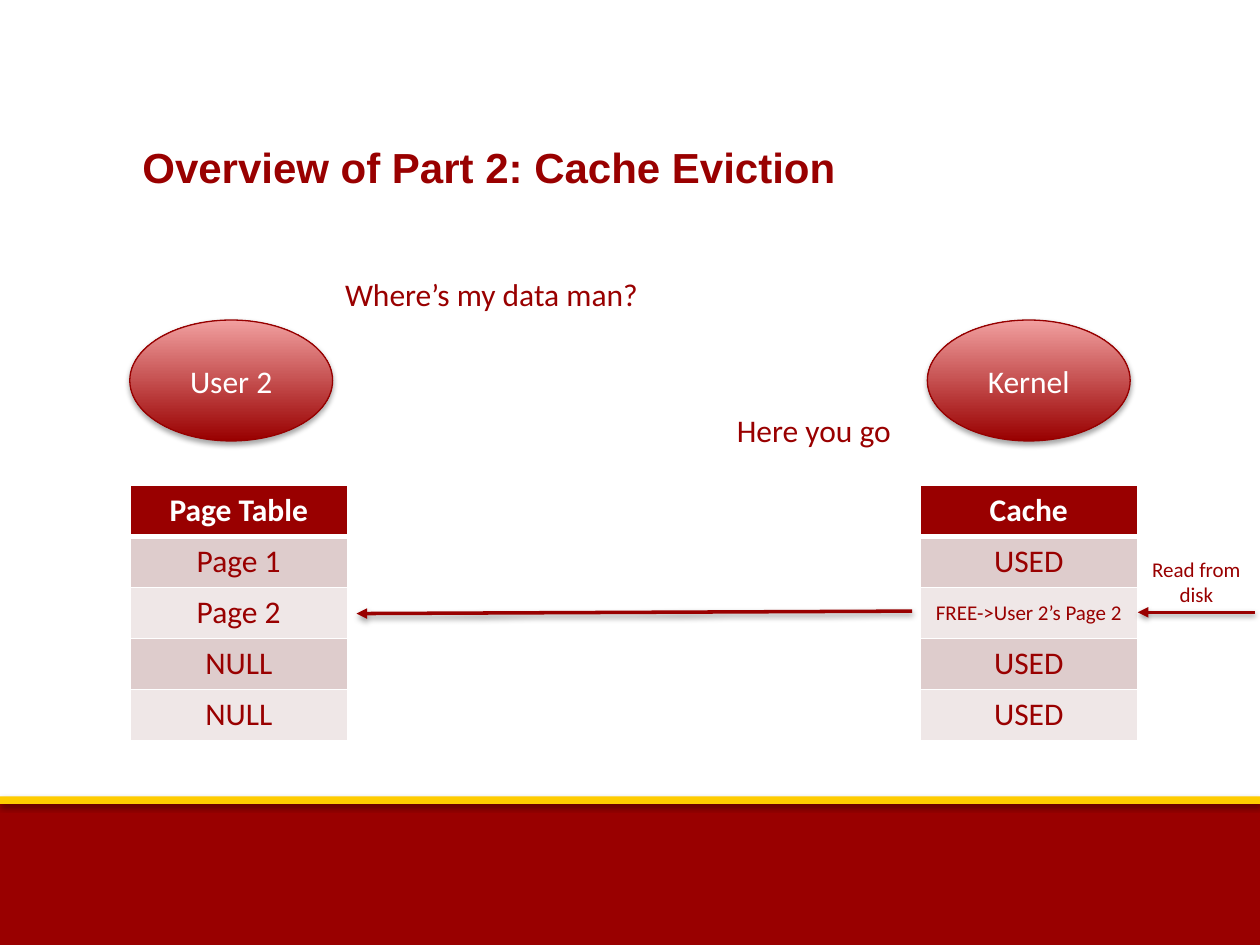
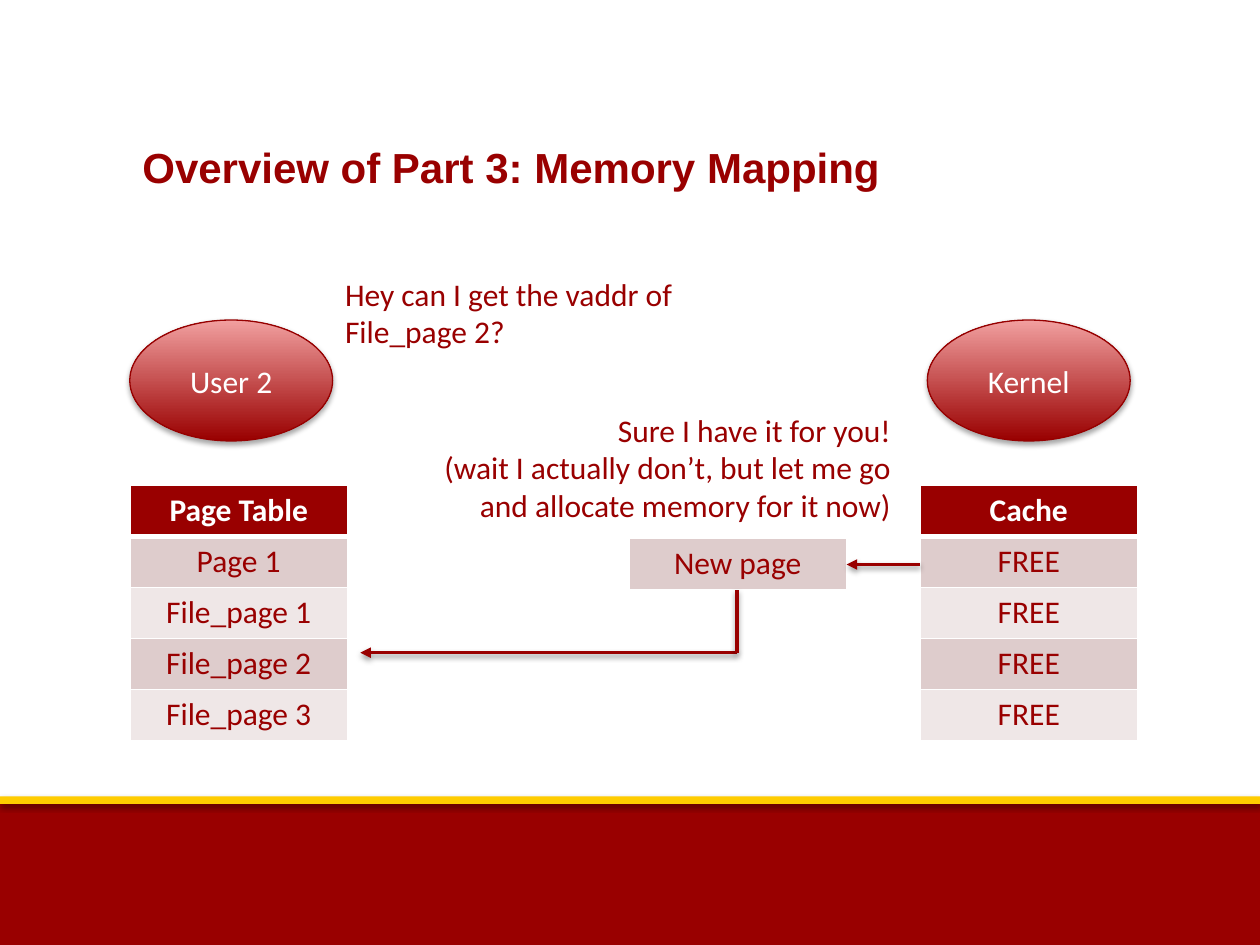
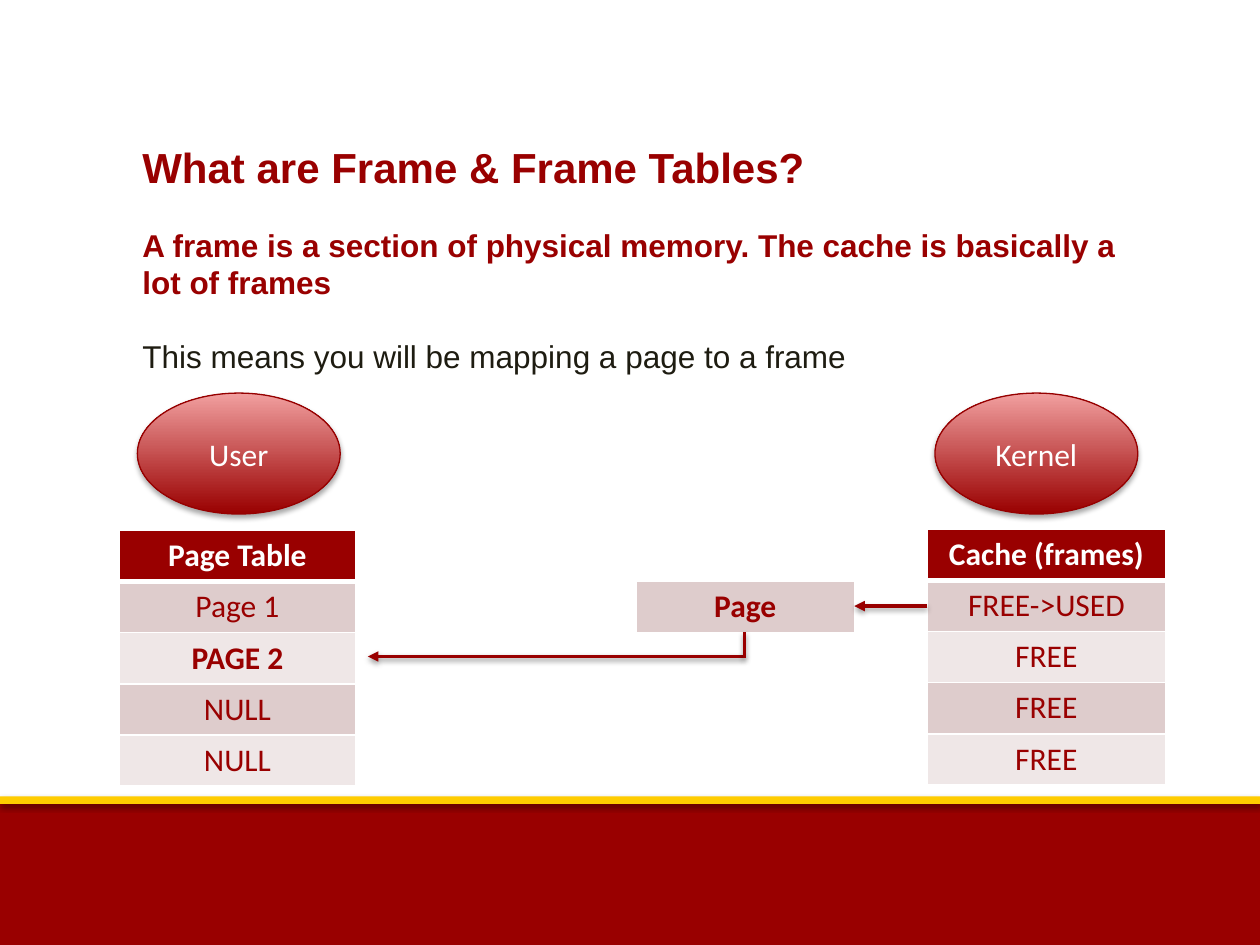
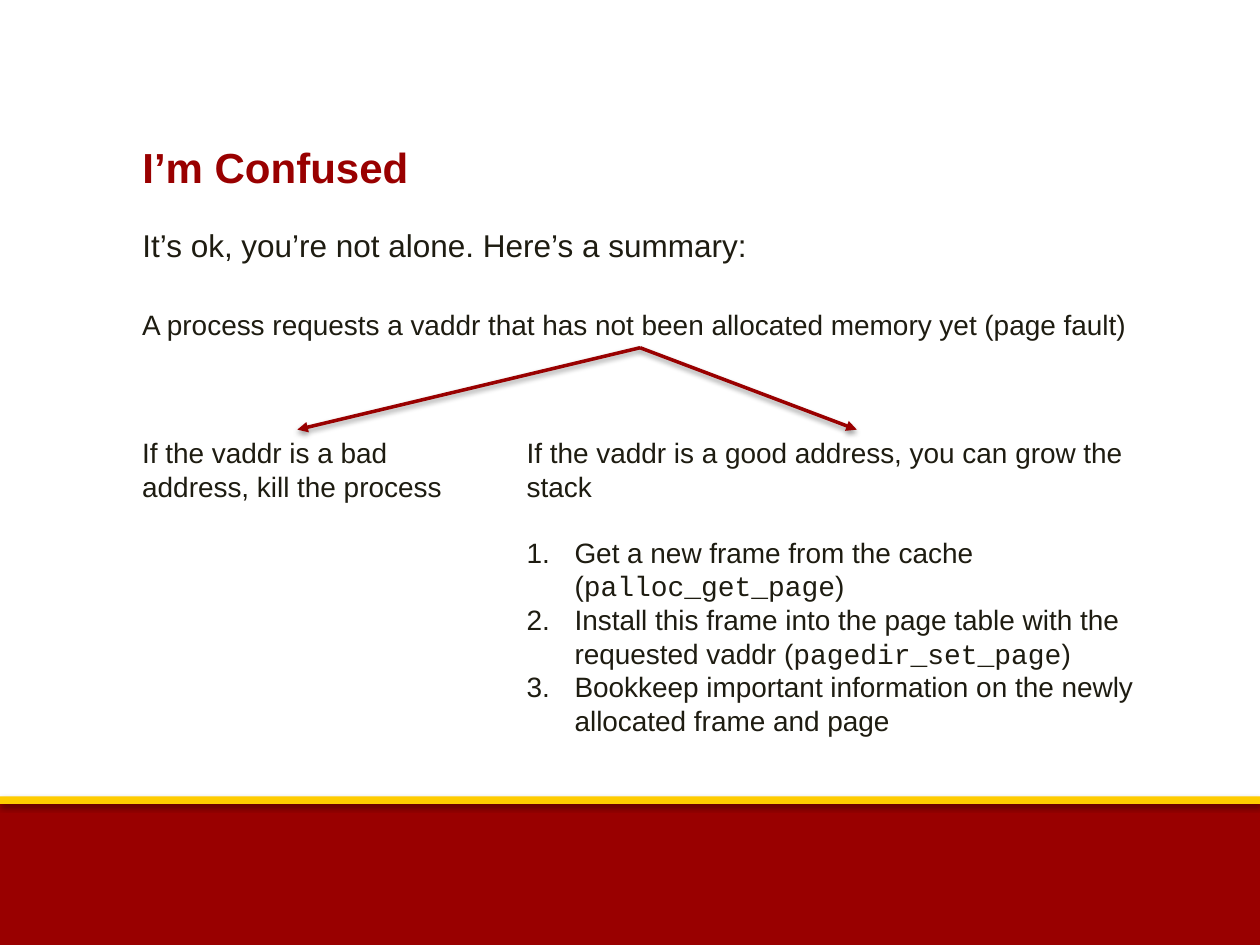
from dataclasses import dataclass
from typing import NamedTuple

from lxml import etree
from pptx import Presentation
from pptx import util as u
from pptx.dml.color import RGBColor
from pptx.enum import shapes, text
from pptx.oxml import ns

COLORS = {
    "cardinal": "990000",
    "outline": "960000",
    "pink": "F19F9F",
    "gold": "FFCC00",
    "ink": "1E1C11",
    "white": "FFFFFF",
    "band_dark": "DECCCC",
    "band_light": "EFE7E7",
    "shadow": "000000",
}
HEADING_FONT, DIAGRAM_FONT, CODE_FONT = "Arial", "Calibri", "Courier New"
TEXT_LEFT, TEXT_WIDTH = 1.03, 8.09
TITLE_TOP, BODY_TOP = 1.07, 1.74
OVAL_SIZE = (1.61, 0.96)
TITLE_AND_CONTENT, TWO_CONTENT, TITLE_ONLY = 1, 3, 5
LEFT, CENTER, RIGHT = text.PP_ALIGN.LEFT, text.PP_ALIGN.CENTER, text.PP_ALIGN.RIGHT


class Box(NamedTuple):
    left: float
    top: float
    width: float
    height: float


class Oval(NamedTuple):
    label: str
    left: float
    top: float


class Speech(NamedTuple):
    words: str
    box: Box
    align: text.PP_ALIGN = LEFT
    size: int = 18


class Arrow(NamedTuple):
    start: tuple[float, float]
    end: tuple[float, float]
    head: bool = True


class Memory(NamedTuple):
    """A one-column table of memory slots."""
    box: Box
    slots: list[str]
    header: bool = True
    small: str = ""
    strong: str = ""


@dataclass
class Diagram:
    title: str
    ovals: list[Oval]
    speeches: list[Speech]
    memories: list[Memory]
    arrows: list[Arrow]
    body: str = ""


def rgb(name: str) -> RGBColor:
    return RGBColor.from_string(COLORS[name])


def inches(values) -> list[u.Length]:
    return [u.Inches(value) for value in values]


def place(shape, box: Box) -> None:
    shape.left, shape.top, shape.width, shape.height = inches(box)


def sub(parent, tag: str, **attributes):
    return etree.SubElement(parent, ns.qn(tag), attributes)


def style_text(frame, size: float, color: str, font: str = HEADING_FONT,
               bold: bool = False, align: text.PP_ALIGN = LEFT) -> None:
    for paragraph in frame.paragraphs:
        paragraph.alignment = align
        for run in paragraph.runs:
            run.font.name, run.font.size, run.font.bold = font, u.Pt(size), bold
            run.font.color.rgb = rgb(color)


def cast_shadow(effects, opacity: int, distance: float) -> None:
    shadow = sub(effects, "a:outerShdw", blurRad="40000", dist=str(u.Pt(distance)),
                 dir="5400000", rotWithShape="0")
    color = sub(shadow, "a:srgbClr", val=COLORS["shadow"])
    sub(color, "a:alpha", val=str(opacity * 1000))


def shade_shape(shape, opacity: int = 35, distance: float = 1.8) -> None:
    shape.shadow.inherit = False
    cast_shadow(shape.element.spPr.find(ns.qn("a:effectLst")), opacity, distance)


def add_master_bands(prs, slide) -> None:
    """Draw the footer bands and move them behind everything on the master."""
    tree = prs.slide_master.shapes.element
    bands = [(Box(0, 6.35, 10, 1.15), "cardinal", 35, 1.8),
             (Box(0, 6.32, 10, 0.06), "gold", 38, 1.6)]
    for index, (box, color, opacity, distance) in enumerate(bands):
        band = slide.shapes.add_shape(shapes.MSO_SHAPE.RECTANGLE, *inches(box))
        band.fill.solid()
        band.fill.fore_color.rgb = rgb(color)
        band.line.fill.background()
        shade_shape(band, opacity, distance)
        band.element.nvSpPr.cNvPr.id = 100 + index
        tree.insert(2 + index, band.element)


def set_title(slide, words: str) -> None:
    title = slide.shapes.title
    place(title, Box(TEXT_LEFT, TITLE_TOP, TEXT_WIDTH, 0.5))
    frame = title.text_frame
    frame.text = words
    frame.vertical_anchor = text.MSO_ANCHOR.TOP
    frame.auto_size = text.MSO_AUTO_SIZE.NONE
    style_text(frame, 24, "cardinal", bold=True)


def set_body(placeholder, box: Box, lines: list[str], size: int,
             numbered: bool = False):
    """Fill a body placeholder; backticks mark code, numbers start at line two."""
    place(placeholder, box)
    frame = placeholder.text_frame
    frame.auto_size = text.MSO_AUTO_SIZE.NONE
    for index, line in enumerate(lines):
        paragraph = frame.paragraphs[0] if index == 0 else frame.add_paragraph()
        props = paragraph._p.get_or_add_pPr()
        indent = u.Inches(0.38) if numbered and index else 0
        props.set("marL", str(indent))
        props.set("indent", str(-indent))
        if indent:
            sub(props, "a:buAutoNum", type="arabicPeriod")
        else:
            sub(props, "a:buNone")
        paragraph.space_before = u.Pt(size * 1.15 if index == 1 else 0)
        for part in line.split("`"):
            paragraph.add_run().text = part
    style_text(frame, size, "ink")
    for paragraph in frame.paragraphs:
        for code in paragraph.runs[1::2]:
            code.font.name = CODE_FONT
    return frame


def add_text(slide, box: Box, words: str, size: int, color: str,
             font: str, align: text.PP_ALIGN = LEFT) -> None:
    frame = slide.shapes.add_textbox(*inches(box)).text_frame
    frame.word_wrap = True
    frame.text = words
    style_text(frame, size, color, font, align=align)


def add_oval(slide, oval: Oval) -> None:
    shape = slide.shapes.add_shape(
        shapes.MSO_SHAPE.OVAL, *inches((oval.left, oval.top, *OVAL_SIZE)))
    shape.fill.gradient()
    shape.fill.gradient_angle = 90
    for stop, position, color in zip(shape.fill.gradient_stops, (0, 1),
                                     ("cardinal", "pink")):
        stop.position = position
        stop.color.rgb = rgb(color)
    shape.line.color.rgb = rgb("outline")
    shape.line.width = u.Pt(0.75)
    shade_shape(shape)
    shape.text_frame.text = oval.label
    shape.text_frame.vertical_anchor = text.MSO_ANCHOR.MIDDLE
    style_text(shape.text_frame, 18, "white", DIAGRAM_FONT, align=CENTER)


def add_arrow(slide, arrow: Arrow) -> None:
    line = slide.shapes.add_connector(
        shapes.MSO_CONNECTOR.STRAIGHT, *inches(arrow.start + arrow.end))
    line.line.color.rgb = rgb("cardinal")
    line.line.width = u.Pt(2)
    props = line.element.spPr
    if arrow.head:
        sub(props.find(ns.qn("a:ln")), "a:tailEnd", type="triangle")
    cast_shadow(sub(props, "a:effectLst"), 38, 1.6)


def set_borders(cell, top: int, bottom: int) -> None:
    props = cell._tc.get_or_add_tcPr()
    for side, width in zip("LRTB", (1, 1, top, bottom)):
        line = sub(props, f"a:ln{side}", w=str(u.Pt(width)))
        sub(sub(line, "a:solidFill"), "a:srgbClr", val=COLORS["white"])


def add_memory(slide, memory: Memory) -> None:
    table = slide.shapes.add_table(len(memory.slots), 1, *inches(memory.box)).table
    table.first_row = memory.header
    for row, slot in enumerate(memory.slots):
        cell = table.cell(row, 0)
        is_header = memory.header and row == 0
        set_borders(cell, top=3 if memory.header and row == 1 else 1,
                    bottom=3 if is_header else 1)
        band = "band_light" if row and row % 2 == 0 else "band_dark"
        cell.fill.solid()
        cell.fill.fore_color.rgb = rgb("cardinal" if is_header else band)
        cell.text_frame.text = slot
        is_small = slot == memory.small
        if is_small:
            cell.vertical_anchor = text.MSO_ANCHOR.MIDDLE
        style_text(cell.text_frame, 12 if is_small else 18,
                   "white" if is_header else "cardinal", DIAGRAM_FONT,
                   is_header or slot == memory.strong, CENTER)


def new_slide(prs, layout: int, title: str):
    slide = prs.slides.add_slide(prs.slide_layouts[layout])
    set_title(slide, title)
    return slide


def add_diagram(prs, diagram: Diagram):
    layout = TITLE_AND_CONTENT if diagram.body else TITLE_ONLY
    slide = new_slide(prs, layout, diagram.title)
    if diagram.body:
        frame = set_body(slide.placeholders[1],
                         Box(TEXT_LEFT, BODY_TOP, TEXT_WIDTH, 1.35),
                         diagram.body.split("\n"), 18)
        definition = frame.paragraphs[0].runs[0].font
        definition.bold = True
        definition.color.rgb = rgb("cardinal")
    for oval in diagram.ovals:
        add_oval(slide, oval)
    for words, box, align, size in diagram.speeches:
        add_text(slide, box, words, size, "cardinal", DIAGRAM_FONT, align)
    for memory in diagram.memories:
        add_memory(slide, memory)
    for arrow in diagram.arrows:
        add_arrow(slide, arrow)
    return slide


def add_summary(prs) -> None:
    slide = new_slide(prs, TWO_CONTENT, "I’m Confused")
    set_body(slide.placeholders[1], Box(TEXT_LEFT, BODY_TOP, TEXT_WIDTH, 0.44),
             ["It’s ok, you’re not alone. Here’s a summary:"], 18)
    add_text(slide, Box(TEXT_LEFT, 2.39, TEXT_WIDTH, 0.37),
             "A process requests a vaddr that has not been allocated memory yet "
             "(page fault)", 16, "ink", HEADING_FONT)
    add_text(slide, Box(TEXT_LEFT, 3.41, 2.65, 0.64),
             "If the vaddr is a bad address, kill the process",
             16, "ink", HEADING_FONT)
    set_body(slide.placeholders[2], Box(4.08, 3.41, 5.44, 2.52), [
        "If the vaddr is a good address, you can grow the stack",
        "Get a new frame from the cache (`palloc_get_page`)",
        "Install this frame into the page table with the requested vaddr "
        "(`pagedir_set_page`)",
        "Bookkeep important information on the newly allocated frame and page",
    ], 16, numbered=True)
    for branch_x in (2.36, 6.8):
        add_arrow(slide, Arrow((5.08, 2.76), (branch_x, 3.41)))


USER_2_AND_KERNEL = [Oval("User 2", 1.03, 2.54), Oval("Kernel", 7.36, 2.54)]
PAGE_TABLE_BOX = Box(1.03, 3.85, 1.73, 2.03)
CACHE_BOX = Box(7.3, 3.85, 1.73, 2.03)

DIAGRAMS = [
    Diagram(
        "Overview of Part 2: Cache Eviction",
        USER_2_AND_KERNEL,
        [Speech("Read from disk", Box(8.95, 4.37, 1.09, 0.5), CENTER, 12),
         Speech("Where’s my data man?", Box(2.64, 2.13, 3.4, 0.4)),
         Speech("Here you go", Box(3.01, 3.21, 4.16, 0.4), RIGHT)],
        [Memory(PAGE_TABLE_BOX, ["Page Table", "Page 1", "Page 2", "NULL", "NULL"]),
         Memory(CACHE_BOX,
                ["Cache", "USED", "FREE->User 2’s Page 2", "USED", "USED"],
                small="FREE->User 2’s Page 2")],
        [Arrow((9.96, 4.86), (9.03, 4.86)), Arrow((7.24, 4.85), (2.83, 4.87))],
    ),
    Diagram(
        "Overview of Part 3: Memory Mapping",
        USER_2_AND_KERNEL,
        [Speech("Hey can I get the vaddr of File_page 2?",
                Box(2.64, 2.13, 3.4, 0.71)),
         Speech("Sure I have it for you!\n(wait I actually don’t, but let me go "
                "and allocate memory for it now)", Box(3.01, 3.21, 4.16, 1.01), RIGHT)],
        [Memory(PAGE_TABLE_BOX,
                ["Page Table", "Page 1", "File_page 1", "File_page 2", "File_page 3"]),
         Memory(CACHE_BOX, ["Cache"] + ["FREE"] * 4),
         Memory(Box(4.99, 4.27, 1.73, 0.41), ["New page"], header=False)],
        [Arrow((5.85, 5.18), (2.86, 5.18)),
         Arrow((5.85, 5.18), (5.85, 4.68), head=False),
         Arrow((7.3, 4.48), (6.72, 4.48))],
    ),
    Diagram(
        "What are Frame & Frame Tables?",
        [Oval("User", 1.09, 3.12), Oval("Kernel", 7.42, 3.12)],
        [],
        [Memory(Box(0.95, 4.21, 1.87, 2.03),
                ["Page Table", "Page 1", "PAGE 2", "NULL", "NULL"], strong="PAGE 2"),
         Memory(Box(5.05, 4.61, 1.73, 0.41), ["Page"], header=False, strong="Page"),
         Memory(Box(7.36, 4.2, 1.89, 2.03),
                ["Cache (frames)", "FREE->USED"] + ["FREE"] * 3)],
        [Arrow((5.91, 5.21), (2.92, 5.21)),
         Arrow((5.91, 5.22), (5.91, 5.02), head=False),
         Arrow((7.36, 4.81), (6.78, 4.81))],
        body="A frame is a section of physical memory. The cache is basically a lot "
             "of frames\nThis means you will be mapping a page to a frame",
    ),
]


def main() -> None:
    prs = Presentation()
    prs.slide_width, prs.slide_height = inches((10, 7.5))
    slides = [add_diagram(prs, diagram) for diagram in DIAGRAMS]
    add_master_bands(prs, slides[0])
    add_summary(prs)
    prs.save("out.pptx")


if __name__ == "__main__":
    main()
